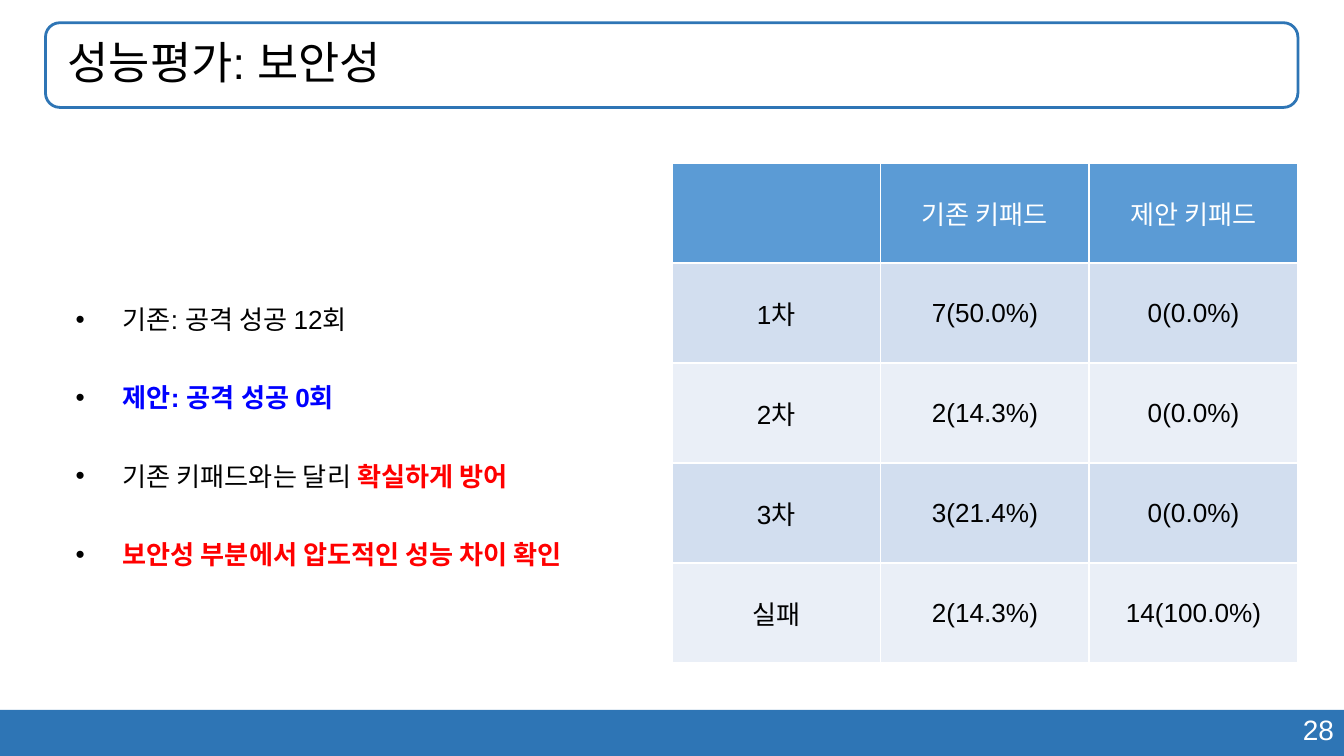
from lxml import etree
from pptx import Presentation
from pptx import util as u
from pptx.dml.color import RGBColor
from pptx.enum import shapes, text
from pptx.oxml import ns

FONT = "Arial"
COLORS = {
    "white": "FFFFFF", "black": "000000", "blue": "0000FF", "red": "FF0000",
    "frame": "2E75B5", "header": "5B9BD5", "band_dark": "D2DEEF", "band_light": "EAEFF7",
}
BULLETS = [
    [("기존: 공격 성공 12회", "black", False)],
    [("제안: 공격 성공 0회", "blue", True)],
    [("기존 키패드와는 달리 ", "black", False), ("확실하게 방어", "red", True)],
    [("보안성 부분에서 압도적인 성능 차이 확인", "red", True)],
]
RESULTS = [
    ["", "기존 키패드", "제안 키패드"],
    ["1차", "7(50.0%)", "0(0.0%)"],
    ["2차", "2(14.3%)", "0(0.0%)"],
    ["3차", "3(21.4%)", "0(0.0%)"],
    ["실패", "2(14.3%)", "14(100.0%)"],
]


def rgb(name):
    return RGBColor.from_string(COLORS[name])


def add_element(parent, tag, **attributes):
    return etree.SubElement(parent, ns.qn(tag), attributes)


def style(font, size, color, bold=False):
    font.name = FONT
    font.size = u.Pt(size)
    font.bold = bold
    font.color.rgb = rgb(color)


def add_text_frame(slide, left, top, width, height, anchor, margin_left=0.19):
    box = slide.shapes.add_textbox(u.Cm(left), u.Cm(top), u.Cm(width), u.Cm(height))
    frame = box.text_frame
    frame.word_wrap = True
    frame.vertical_anchor = anchor
    frame.margin_left, frame.margin_right = u.Cm(margin_left), u.Cm(0.19)
    frame.margin_top = frame.margin_bottom = u.Cm(0.1)
    return frame


def add_footer(slide, left, top, width, height, number):
    bar = slide.shapes.add_shape(shapes.MSO_SHAPE.RECTANGLE,
                                 u.Cm(left), u.Cm(top), u.Cm(width), u.Cm(height))
    bar.shadow.inherit = False
    bar.fill.solid()
    bar.fill.fore_color.rgb = rgb("frame")
    bar.line.fill.background()
    number_width = 7.44
    frame = add_text_frame(slide, left + width - number_width, top - 0.05,
                           number_width, 0.84, text.MSO_ANCHOR.TOP)
    paragraph = frame.paragraphs[0]
    paragraph.text = number
    paragraph.alignment = text.PP_ALIGN.RIGHT
    style(paragraph.runs[0].font, 15, "white")


def add_title(slide, left, top, width, height, title):
    outline = slide.shapes.add_shape(shapes.MSO_SHAPE.ROUNDED_RECTANGLE,
                                     u.Cm(left), u.Cm(top), u.Cm(width), u.Cm(height))
    outline.shadow.inherit = False
    outline.adjustments[0] = 0.17
    outline.fill.background()
    outline.line.color.rgb = rgb("frame")
    outline.line.width = u.Pt(1.5)
    frame = add_text_frame(slide, left, top, width, height,
                           text.MSO_ANCHOR.MIDDLE, margin_left=0.42)
    paragraph = frame.paragraphs[0]
    paragraph.text = title
    paragraph.line_spacing = 0.9
    style(paragraph.runs[0].font, 24, "black")


def set_bullet(paragraph):
    properties = paragraph._p.get_or_add_pPr()
    properties.set("marL", str(u.Cm(1.27)))
    properties.set("indent", str(u.Cm(-0.89)))
    color = add_element(properties, "a:buClr")
    add_element(color, "a:srgbClr", val=COLORS["black"])
    add_element(properties, "a:buFont", typeface=FONT)
    add_element(properties, "a:buChar", char="•")


def add_findings(slide, left, top, width, height):
    frame = add_text_frame(slide, left, top, width, height, text.MSO_ANCHOR.MIDDLE)
    for index, parts in enumerate(BULLETS):
        paragraph = frame.add_paragraph() if index else frame.paragraphs[0]
        set_bullet(paragraph)
        paragraph.line_spacing = 2.5
        for words, color, bold in parts:
            run = paragraph.add_run()
            run.text = words
            style(run.font, 14, color, bold)


def set_borders(cell):
    properties = cell._tc.get_or_add_tcPr()
    for index, side in enumerate(("a:lnL", "a:lnR", "a:lnT", "a:lnB")):
        line = etree.Element(ns.qn(side), w=str(u.Pt(1)))
        fill = add_element(line, "a:solidFill")
        add_element(fill, "a:srgbClr", val=COLORS["white"])
        properties.insert(index, line)


def add_results_table(slide, left, top, width, height):
    rows, columns = len(RESULTS), len(RESULTS[0])
    table = slide.shapes.add_table(rows, columns, u.Cm(left), u.Cm(top),
                                   u.Cm(width), u.Cm(height)).table
    table.first_row = table.horz_banding = False
    for row, values in enumerate(RESULTS):
        fill = "header" if row == 0 else ("band_light", "band_dark")[row % 2]
        for column, value in enumerate(values):
            cell = table.cell(row, column)
            cell.fill.solid()
            cell.fill.fore_color.rgb = rgb(fill)
            cell.vertical_anchor = text.MSO_ANCHOR.MIDDLE
            set_borders(cell)
            paragraph = cell.text_frame.paragraphs[0]
            paragraph.text = value
            paragraph.alignment = text.PP_ALIGN.CENTER
            for run in paragraph.runs:
                style(run.font, 14, "black" if row else "white")


def main():
    presentation = Presentation()
    presentation.slide_width, presentation.slide_height = u.Cm(25.4), u.Cm(14.28)
    slide = presentation.slides.add_slide(presentation.slide_layouts[6])
    add_footer(slide, 0, 13.41, 25.4, 0.87, "28")
    add_title(slide, 0.86, 0.43, 23.67, 1.6, "성능평가: 보안성")
    add_findings(slide, 0.86, 3.08, 11.56, 9.45)
    add_results_table(slide, 12.7, 3.08, 11.83, 9.45)
    presentation.save("out.pptx")


if __name__ == "__main__":
    main()
